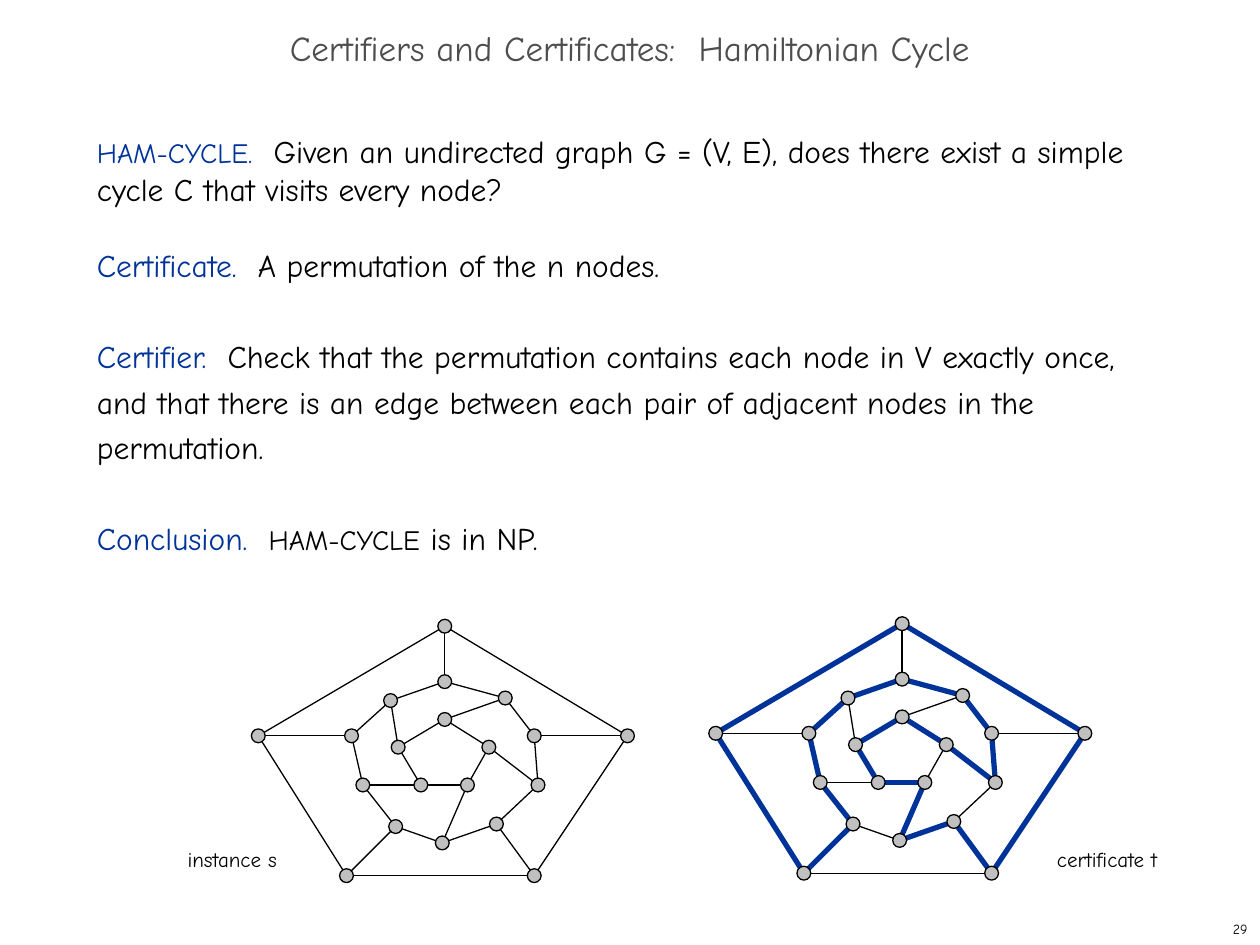
from dataclasses import dataclass
from math import hypot

from lxml.etree import SubElement
from pptx import Presentation
from pptx.dml.color import RGBColor
from pptx.enum.shapes import MSO_CONNECTOR, MSO_SHAPE
from pptx.enum.text import MSO_ANCHOR, MSO_AUTO_SIZE, PP_ALIGN
from pptx.oxml.ns import qn
from pptx.util import Inches, Pt


@dataclass(frozen=True)
class Theme:
    font: str = "Comic Neue"
    ink: RGBColor = RGBColor(0x00, 0x00, 0x00)
    heading: RGBColor = RGBColor(0x4D, 0x4D, 0x4D)
    accent: RGBColor = RGBColor(0x00, 0x33, 0x99)
    node: RGBColor = RGBColor(0xC0, 0xC0, 0xC0)
    title_size: Pt = Pt(20)
    body_size: Pt = Pt(18)
    problem_size: Pt = Pt(16)
    label_size: Pt = Pt(12)
    number_size: Pt = Pt(8)
    thin: Pt = Pt(0.75)
    thick: Pt = Pt(3)


theme = Theme()


def style(font, size, color):
    font.name = theme.font
    font.size = size
    font.color.rgb = color


def add_label(left, top, width, height, text, size):
    box = page.shapes.add_textbox(Inches(left), Inches(top), Inches(width), Inches(height))
    box.text_frame.text = text
    para = box.text_frame.paragraphs[0]
    style(para.runs[0].font, size, theme.ink)
    return box.text_frame, para


deck = Presentation()
deck.slide_width, deck.slide_height = Inches(10), Inches(7.5)
page = deck.slides.add_slide(deck.slide_layouts[5])

# Title
title = page.shapes.title
title.left, title.top, title.width, title.height = Inches(0), Inches(0.17), Inches(10), Inches(0.5)
title.text_frame.text = "Certifiers and Certificates:  Hamiltonian Cycle"
title.text_frame.auto_size = MSO_AUTO_SIZE.NONE
title.text_frame.vertical_anchor = MSO_ANCHOR.MIDDLE
para = title.text_frame.paragraphs[0]
para.alignment = PP_ALIGN.CENTER
para.line_spacing = 0.7
style(para.runs[0].font, theme.title_size, theme.heading)

# Definitions: (space before, line spacing, runs of text, size and colour)
big, small = theme.body_size, theme.problem_size
definitions = [
    (Pt(0), None, [
        ("HAM-CYCLE.", small, theme.accent),
        ("  ", big, theme.accent),
        ("Given an undirected graph G = (V, E), does there exist a simple "
         "cycle C that visits every node?", big, theme.ink)]),
    (Pt(22), None, [
        ("Certificate.  ", big, theme.accent),
        ("A permutation of the n nodes.", big, theme.ink)]),
    (Pt(26), Pt(26), [
        ("Certifier.  ", big, theme.accent),
        ("Check that the permutation contains each node in V exactly once, and that "
         "there is an edge between each pair of adjacent nodes in the permutation.",
         big, theme.ink)]),
    (Pt(26), Pt(26), [
        ("Conclusion.  ", big, theme.accent),
        ("HAM-CYCLE", small, theme.ink),
        (" is in NP.", big, theme.ink)]),
]
body = page.shapes.add_textbox(Inches(0.67), Inches(1), Inches(8.58), Inches(5.83))
body.text_frame.word_wrap = True
for index, (space, spacing, spans) in enumerate(definitions):
    para = body.text_frame.add_paragraph() if index else body.text_frame.paragraphs[0]
    para.space_before = space
    para.line_spacing = spacing
    for text, size, color in spans:
        span = para.add_run()
        span.text = text
        style(span.font, size, color)

# Dodecahedron graph: node centres on three rings, clockwise from the top
rings = {
    "o": [(3.53, 4.97), (4.98, 5.84), (4.24, 6.95), (2.75, 6.95), (2.05, 5.84)],
    "m": [(3.53, 5.41), (4.01, 5.54), (4.24, 5.84), (4.27, 6.23), (3.94, 6.54),
          (3.51, 6.69), (3.14, 6.56), (2.88, 6.23), (2.79, 5.84), (3.10, 5.56)],
    "i": [(3.53, 5.71), (3.88, 5.93), (3.71, 6.23), (3.34, 6.23), (3.16, 5.93)],
}
nodes = {f"{ring}{i}": center for ring, centers in rings.items()
         for i, center in enumerate(centers)}
edges = [(f"{ring}{i}", f"{ring}{(i + 1) % len(centers)}")
         for ring, centers in rings.items() for i in range(len(centers))]
for i in range(5):
    edges += [(f"o{i}", f"m{2 * i}"), (f"i{i}", f"m{2 * i + 1}")]

tour = "i0 i1 m3 m2 m1 m0 m9 m8 m7 m6 o3 o4 o0 o1 o2 m4 m5 i2 i3 i4".split()
tour_edges = {frozenset(pair) for pair in zip(tour, tour[1:] + tour[:1])}
radius = 0.055

for shift_x, shift_y, chosen in [(0, 0, set()), (3.63, -0.02, tour_edges)]:
    # Thick edges come last so that they lie over the thin ones
    for start, end in sorted(edges, key=lambda edge: frozenset(edge) in chosen):
        (x1, y1), (x2, y2) = nodes[start], nodes[end]
        trim = radius / hypot(x2 - x1, y2 - y1)
        dx, dy = trim * (x2 - x1), trim * (y2 - y1)
        line = page.shapes.add_connector(
            MSO_CONNECTOR.STRAIGHT,
            Inches(x1 + dx + shift_x), Inches(y1 + dy + shift_y),
            Inches(x2 - dx + shift_x), Inches(y2 - dy + shift_y))
        on_tour = frozenset((start, end)) in chosen
        line.line.color.rgb = theme.accent if on_tour else theme.ink
        line.line.width = theme.thick if on_tour else theme.thin
        SubElement(line._element.spPr, qn("a:effectLst"))
    for x, y in nodes.values():
        dot = page.shapes.add_shape(
            MSO_SHAPE.OVAL, Inches(x - radius + shift_x), Inches(y - radius + shift_y),
            Inches(2 * radius), Inches(2 * radius))
        dot.shadow.inherit = False
        dot.fill.solid()
        dot.fill.fore_color.rgb = theme.node
        dot.line.color.rgb = theme.ink
        dot.line.width = theme.thin

# Captions and slide number
for left, width, caption in [(1.39, 0.91, "instance s"), (8.29, 1, "certificate t")]:
    frame, para = add_label(left, 6.67, width, 0.3, caption, theme.label_size)
    frame.word_wrap = False

frame, para = add_label(7.92, 7.25, 2.08, 0.25, "29", theme.number_size)
frame.word_wrap = True
frame.vertical_anchor = MSO_ANCHOR.MIDDLE
para.alignment = PP_ALIGN.RIGHT

deck.save("out.pptx")
